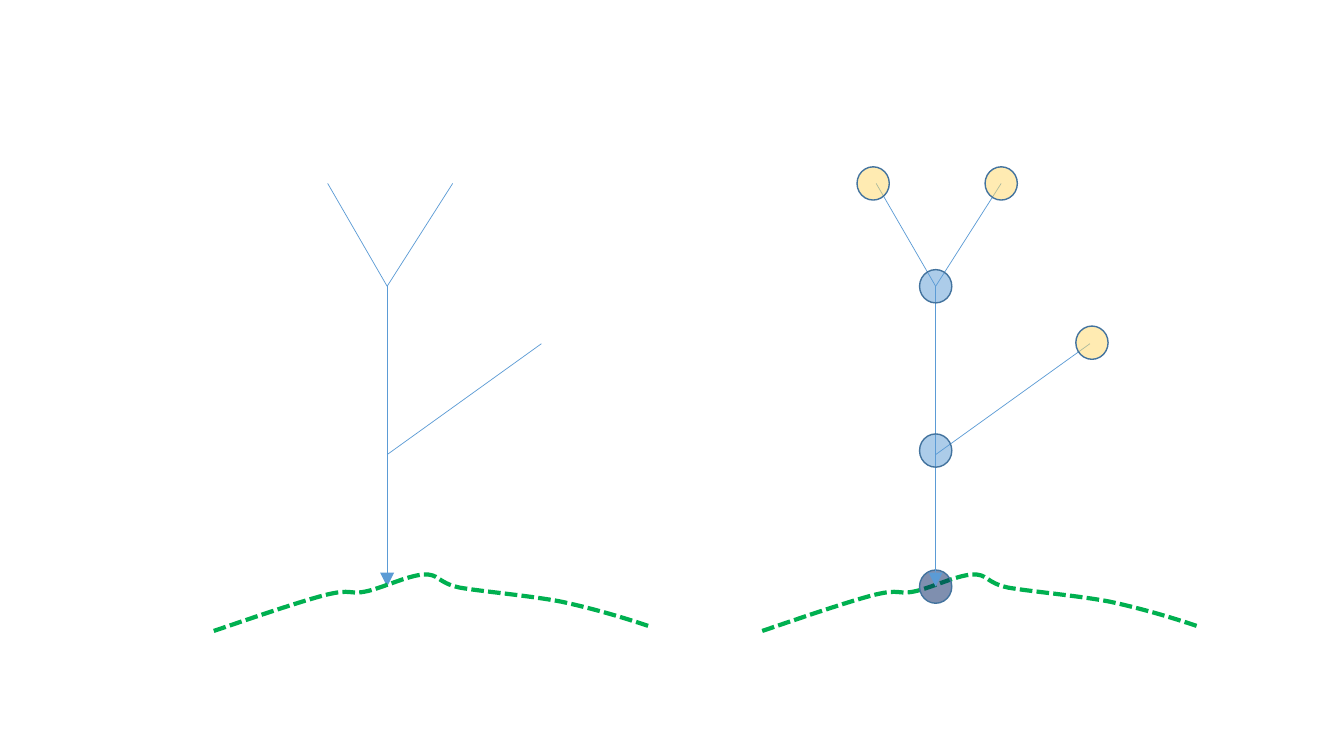
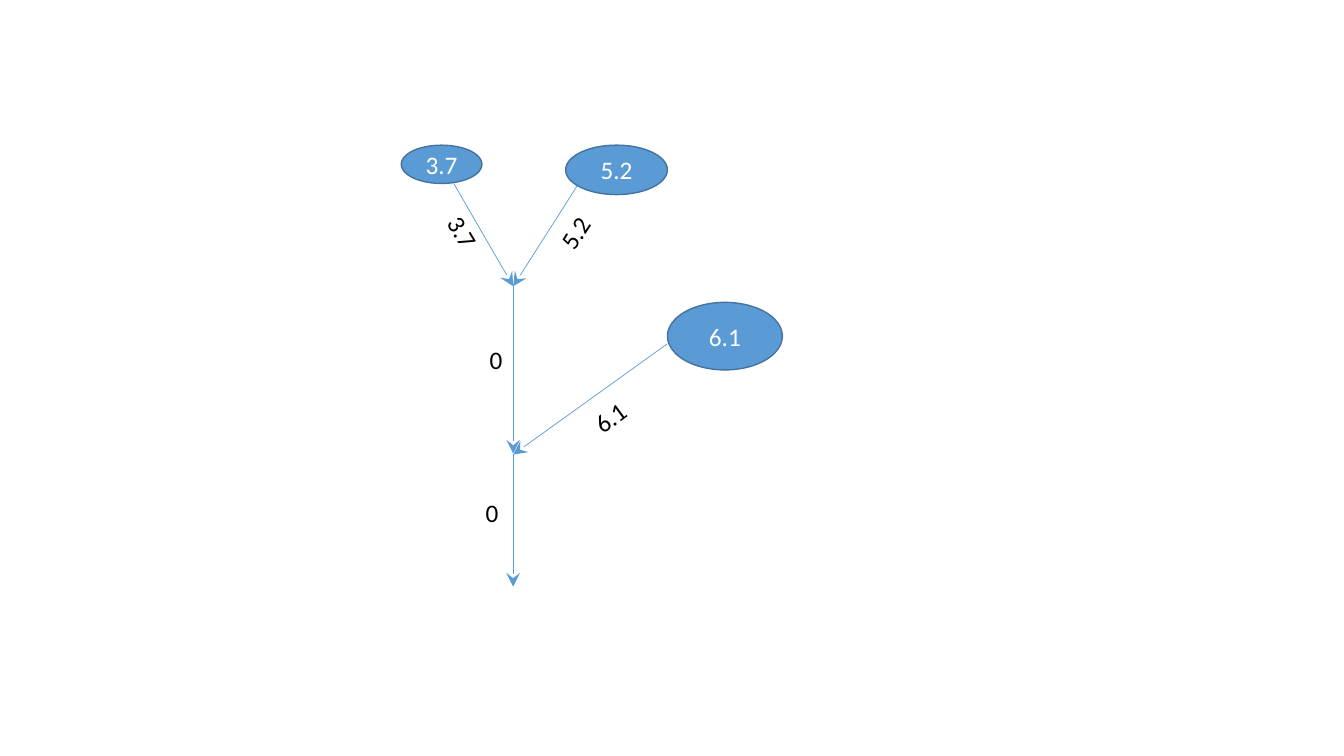
from lxml.etree import SubElement
from pptx import Presentation
from pptx.dml.color import RGBColor
from pptx.enum.dml import MSO_LINE
from pptx.enum.shapes import MSO_CONNECTOR, MSO_SHAPE
from pptx.enum.text import MSO_ANCHOR, MSO_AUTO_SIZE, PP_ALIGN
from pptx.oxml.ns import qn
from pptx.util import Inches, Pt

BLUE = RGBColor(0x5B, 0x9B, 0xD5)
OUTLINE = RGBColor(0x43, 0x73, 0x9E)
NAVY = RGBColor(0x00, 0x20, 0x60)
YELLOW = RGBColor(0xFF, 0xD9, 0x66)
GREEN = RGBColor(0x00, 0xB0, 0x50)
WHITE = RGBColor(0xFF, 0xFF, 0xFF)
BLACK = RGBColor(0x00, 0x00, 0x00)

FONT = "Calibri"
NODE_WIDTH, NODE_HEIGHT = 0.32, 0.33

PLAIN_TREE_X, NODE_TREE_X, FLOW_TREE_X = 3.84, 9.28, 5.09

LEFT_TIP, RIGHT_TIP, SIDE_TIP = (-0.59, 1.82), (0.65, 1.82), (1.53, 3.41)
FORK, JOINT, SIDE_JOINT, ROOT = (0, 2.84), (0, 4.5), (0, 4.51), (0, 5.82)
BRANCHES = [
    (LEFT_TIP, FORK), (RIGHT_TIP, FORK), (FORK, JOINT), (SIDE_TIP, SIDE_JOINT), (JOINT, ROOT),
]

GROUND_START = (-1.72, 6.26)
GROUND_CURVES = [
    [(-1.28, 6.11), (-0.84, 5.96), (-0.6, 5.9)],
    [(-0.35, 5.84), (-0.38, 5.9), (-0.22, 5.87)],
    [(-0.06, 5.84), (0.2, 5.71), (0.36, 5.7)],
    [(0.52, 5.69), (0.49, 5.78), (0.72, 5.83)],
    [(0.95, 5.87), (1.42, 5.91), (1.73, 5.97)],
    [(2.05, 6.04), (2.32, 6.12), (2.59, 6.21)],
]

NODES = [
    (FORK, BLUE),
    (RIGHT_TIP, YELLOW),
    ((-0.62, 1.82), YELLOW),
    ((0, 4.47), BLUE),
    ((1.55, 3.4), YELLOW),
]

SOURCES = [
    ("5.2", 5.61, 1.44, 1.01, 0.49),
    ("3.7", 3.98, 1.44, 0.8, 0.38),
    ("6.1", 6.62, 3, 1.14, 0.67),
]
FLOW_LABELS = [
    ("3.7", 4.3, 2.1, 0.58, 59.1, True),
    ("5.2", 5.44, 2.11, 0.52, 303, False),
    ("6.1", 5.79, 3.94, 0.52, 323.7, False),
    ("0", 4.63, 3.37, 0.58, 0, True),
    ("0", 4.59, 4.88, 0.58, 0, True),
]


def write(shape, text, color=BLACK, size=18, anchor=MSO_ANCHOR.TOP):
    frame = shape.text_frame
    frame.vertical_anchor = anchor
    para = frame.paragraphs[0]
    para.alignment = PP_ALIGN.CENTER
    span = para.add_run()
    span.text = text
    span.font.name = FONT
    span.font.size = Pt(size)
    span.font.color.rgb = color


def add_ellipse(page, left, top, width, height, fill, opacity=100):
    shape = page.shapes.add_shape(
        MSO_SHAPE.OVAL, Inches(left), Inches(top), Inches(width), Inches(height))
    shape.shadow.inherit = False
    shape.fill.solid()
    shape.fill.fore_color.rgb = fill
    if opacity < 100:
        color = shape._element.spPr.find(qn("a:solidFill")).find(qn("a:srgbClr"))
        SubElement(color, qn("a:alpha")).set("val", str(opacity * 1000))
    shape.line.color.rgb = OUTLINE
    shape.line.width = Pt(1)
    return shape


def add_node(page, trunk_x, center, fill):
    x, y = center
    add_ellipse(page, trunk_x + x - NODE_WIDTH / 2, y - NODE_HEIGHT / 2,
                NODE_WIDTH, NODE_HEIGHT, fill, opacity=50)


def add_branch(page, trunk_x, start, end, arrow):
    line = page.shapes.add_connector(
        MSO_CONNECTOR.STRAIGHT, Inches(trunk_x + start[0]), Inches(start[1]),
        Inches(trunk_x + end[0]), Inches(end[1]))
    line.line.color.rgb = BLUE
    line.line.width = Pt(0.5)
    properties = line._element.spPr
    if arrow:
        SubElement(properties.find(qn("a:ln")), qn("a:tailEnd"),
                   {"type": arrow, "w": "lg", "len": "lg"})
    SubElement(properties, qn("a:effectLst"))


def add_tree(page, trunk_x, root_arrow, branch_arrow=None):
    for start, end in BRANCHES:
        add_branch(page, trunk_x, start, end, root_arrow if end == ROOT else branch_arrow)


def add_ground(page, trunk_x):
    def place(point):
        return Inches(trunk_x + point[0]), Inches(point[1])

    builder = page.shapes.build_freeform(*place(GROUND_START))
    builder.add_line_segments([place(curve[-1]) for curve in GROUND_CURVES], close=False)
    ground = builder.convert_to_shape()
    for segment, curve in zip(list(ground._element.iter(qn("a:lnTo"))), GROUND_CURVES):
        outline = segment.getparent()
        bend = SubElement(outline, qn("a:cubicBezTo"))
        for x, y in map(place, curve):
            SubElement(bend, qn("a:pt"), {"x": str(x - ground.left), "y": str(y - ground.top)})
        outline.replace(segment, bend)
    ground.shadow.inherit = False
    ground.fill.background()
    ground.line.color.rgb = GREEN
    ground.line.width = Pt(3)
    ground.line.dash_style = MSO_LINE.SQUARE_DOT


deck = Presentation()
deck.slide_width, deck.slide_height = Inches(13.33), Inches(7.5)
blank = deck.slide_layouts[6]

page = deck.slides.add_slide(blank)
add_ground(page, NODE_TREE_X)
add_node(page, NODE_TREE_X, ROOT, NAVY)
add_tree(page, NODE_TREE_X, "triangle")
for center, fill in NODES:
    add_node(page, NODE_TREE_X, center, fill)
add_tree(page, PLAIN_TREE_X, "triangle")
add_ground(page, PLAIN_TREE_X)

page = deck.slides.add_slide(blank)
add_tree(page, FLOW_TREE_X, "stealth", "stealth")
for text, left, top, width, height in SOURCES:
    source = add_ellipse(page, left, top, width, height, BLUE)
    write(source, text, color=WHITE, anchor=MSO_ANCHOR.MIDDLE)
for text, left, top, width, angle, wraps in FLOW_LABELS:
    box = page.shapes.add_textbox(Inches(left), Inches(top), Inches(width), Inches(0.4))
    box.rotation = angle
    box.text_frame.word_wrap = wraps
    box.text_frame.auto_size = MSO_AUTO_SIZE.SHAPE_TO_FIT_TEXT
    write(box, text)

deck.save("out.pptx")
